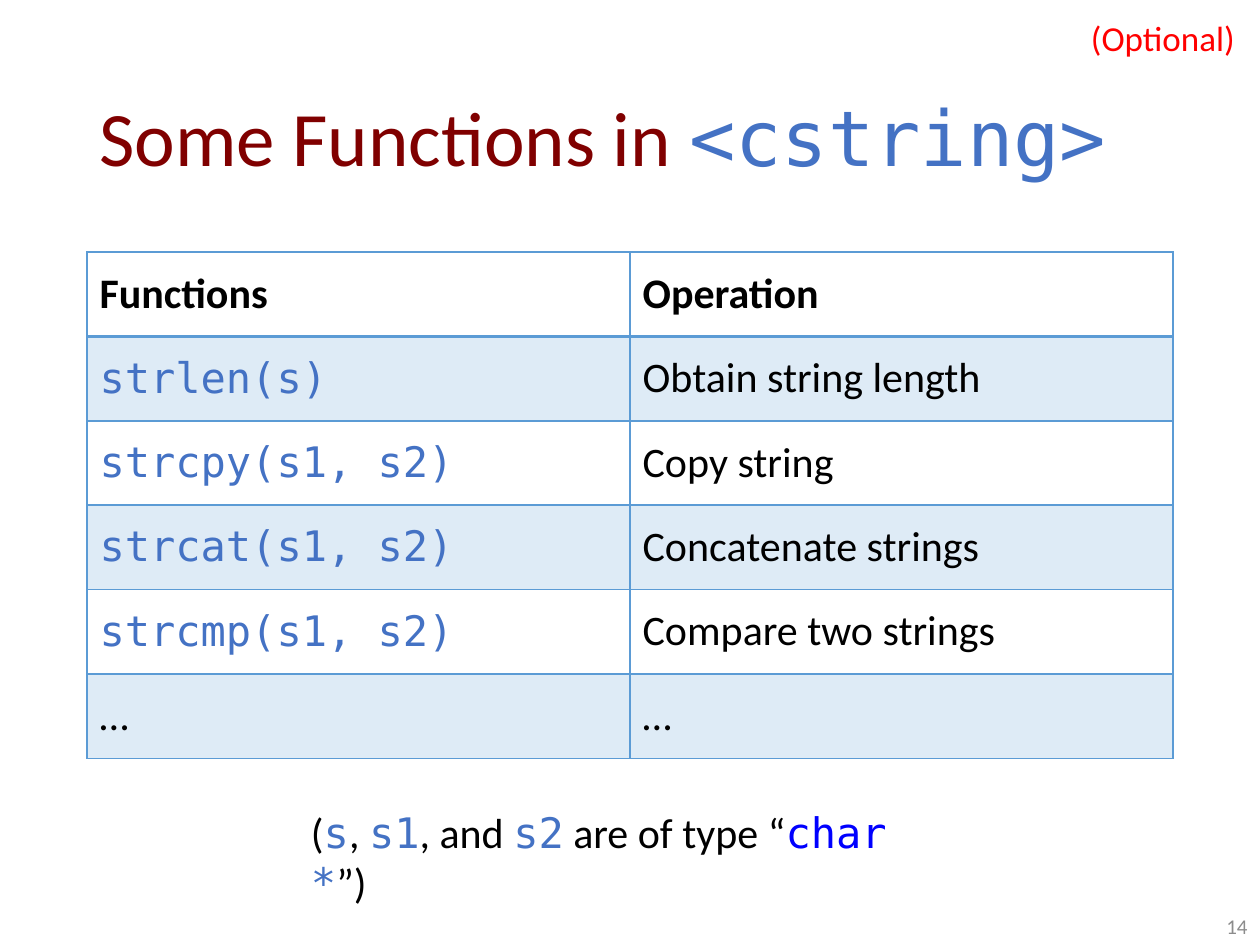
from lxml import etree
from pptx import Presentation
from pptx.dml import color
from pptx.enum import text
from pptx.oxml import ns
from pptx.util import Inches, Pt

BODY, CODE = "Calibri", "DejaVu Sans Mono"
BLACK, MAROON, BLUE, KEYWORD = "000000", "800000", "4472C4", "0000FF"
RED, GREY, RULE = "FF0000", "8C8C8C", "5B9BD5"
FUNCTIONS = [
    ("Functions", "Operation"),
    ("strlen(s)", "Obtain string length"),
    ("strcpy(s1, s2)", "Copy string"),
    ("strcat(s1, s2)", "Concatenate strings"),
    ("strcmp(s1, s2)", "Compare two strings"),
    ("…", "…"),
]


def rgb(value):
    """Turn a hex string into a colour."""
    return color.RGBColor.from_string(value)


def apply_format(target, values):
    """Set each named attribute on the target."""
    for name, value in values.items():
        setattr(target, name, value)


def plain(words, colour=BLACK):
    """Describe a run of body text."""
    return words, BODY, colour


def code(words, colour=BLUE):
    """Describe a run of code."""
    return words, CODE, colour


def write(paragraph, runs, size, bold=False):
    """Fill a paragraph with formatted runs."""
    for words, face, colour in runs:
        run = paragraph.add_run()
        run.text = words
        apply_format(run.font, {"name": face, "size": Pt(size), "bold": bold})
        run.font.color.rgb = rgb(colour)


def add_label(slide, place, runs, size, frame_format, align=text.PP_ALIGN.LEFT):
    """Add a text box with one paragraph."""
    frame = slide.shapes.add_textbox(*map(Inches, place)).text_frame
    apply_format(frame, frame_format)
    frame.paragraphs[0].alignment = align
    write(frame.paragraphs[0], runs, size)


def set_title(title, runs):
    """Place and fill the title placeholder."""
    places = dict(left=0.69, top=0.4, width=8.62, height=1.45)
    apply_format(title, {side: Inches(value) for side, value in places.items()})
    apply_format(title.text_frame, {
        "auto_size": text.MSO_AUTO_SIZE.NONE,
        "vertical_anchor": text.MSO_ANCHOR.MIDDLE,
        "word_wrap": True,
    })
    heading = title.text_frame.paragraphs[0]
    apply_format(heading, {"alignment": text.PP_ALIGN.LEFT, "line_spacing": 0.9})
    write(heading, runs, 44)


def set_borders(cell, widths):
    """Draw the cell's borders, given widths in points by side."""
    properties = cell._tc.get_or_add_tcPr()
    for side, width in widths.items():
        line = etree.SubElement(properties, ns.qn(f"a:ln{side}"), w=str(Pt(width)))
        fill = etree.SubElement(line, ns.qn("a:solidFill"))
        etree.SubElement(fill, ns.qn("a:srgbClr"), val=RULE)


def set_band(cell, shaded):
    """Give the cell a light tint or no fill."""
    if not shaded:
        cell.fill.background()
        return
    cell.fill.solid()
    cell.fill.fore_color.rgb = rgb(RULE)
    tint = cell._tc.tcPr.find(".//" + ns.qn("a:solidFill"))
    tint = cell._tc.tcPr.find(ns.qn("a:solidFill") + "/" + ns.qn("a:srgbClr"))
    etree.SubElement(tint, ns.qn("a:alpha"), val="20000")


def add_function_table(slide):
    """Add the table of functions and operations."""
    place = map(Inches, (0.69, 2, 8.62, 0.67 * len(FUNCTIONS)))
    table = slide.shapes.add_table(len(FUNCTIONS), 2, *place).table
    for row, entries in enumerate(FUNCTIONS):
        header = row == 0
        for column, words in enumerate(entries):
            cell = table.cell(row, column)
            cell.vertical_anchor = text.MSO_ANCHOR.MIDDLE
            set_borders(cell, {"L": 1, "R": 1, "T": 2 if row == 1 else 1,
                               "B": 2 if header else 1})
            set_band(cell, row % 2 == 1)
            kind = code if column == 0 and "(" in words else plain
            write(cell.text_frame.paragraphs[0], [kind(words)], 24, header)


def main():
    """Build the slide and save it."""
    deck = Presentation()
    apply_format(deck, {"slide_width": Inches(10), "slide_height": Inches(7.5)})
    slide = deck.slides.add_slide(deck.slide_layouts[5])
    set_title(slide.shapes.title,
              [plain("Some Functions in ", MAROON), code("<cstring>")])
    add_function_table(slide)
    add_label(slide, (7.75, 7.1, 2.25, 0.4), [plain("14", GREY)], 12,
              {"word_wrap": True, "vertical_anchor": text.MSO_ANCHOR.BOTTOM},
              text.PP_ALIGN.RIGHT)
    add_label(slide, (8.56, 0.08, 1.36, 0.44), [plain("(Optional)", RED)], 20,
              {"word_wrap": False, "auto_size": text.MSO_AUTO_SIZE.SHAPE_TO_FIT_TEXT})
    type_note = [
        plain("("), code("s"), plain(", "), code("s1"), plain(", and "), code("s2"),
        plain(" are of type “"), code("char", KEYWORD), code(" *"), plain("”)"),
    ]
    add_label(slide, (2.37, 6.35, 5.27, 0.5), type_note, 24, {"word_wrap": True})
    deck.save("out.pptx")


if __name__ == "__main__":
    main()
